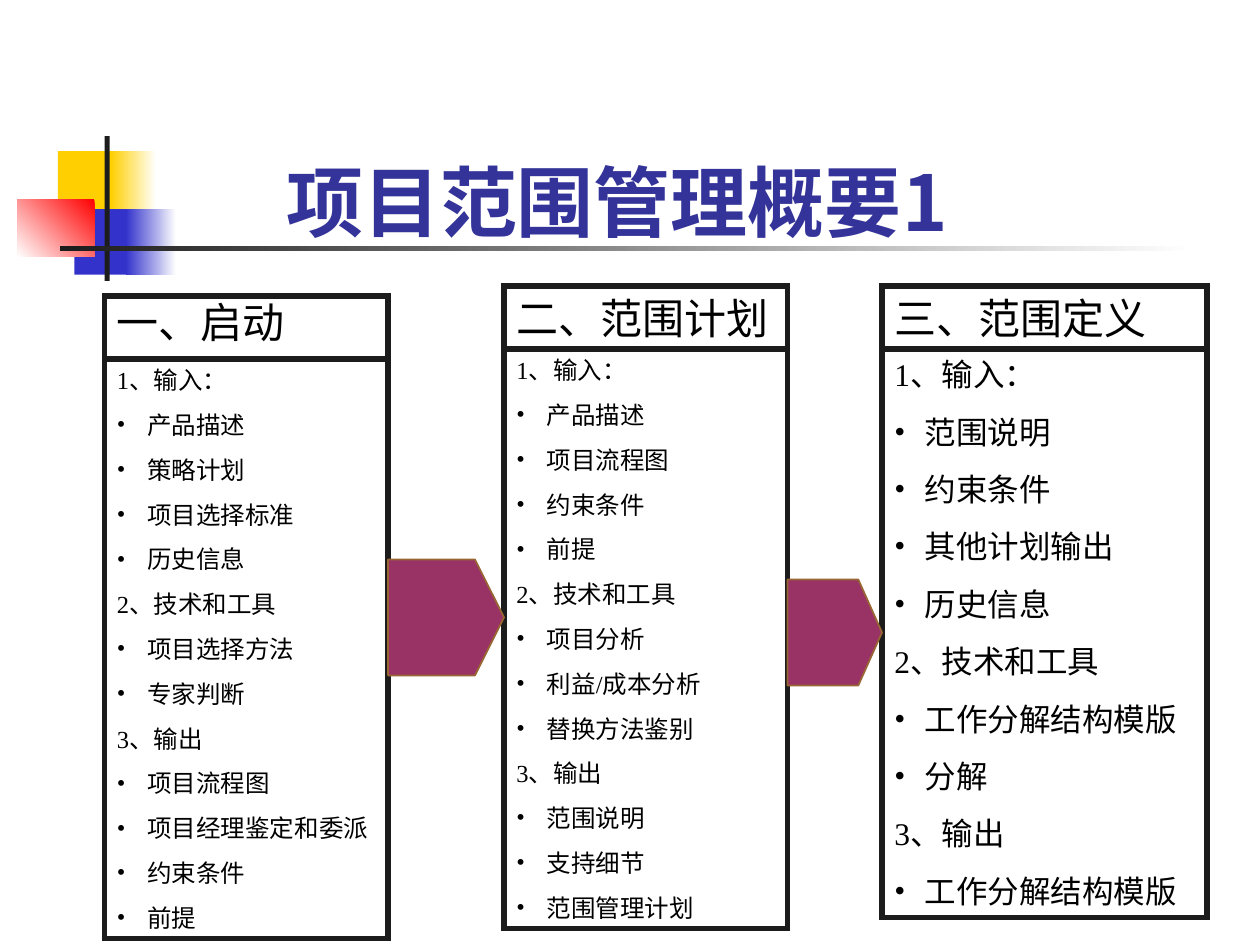
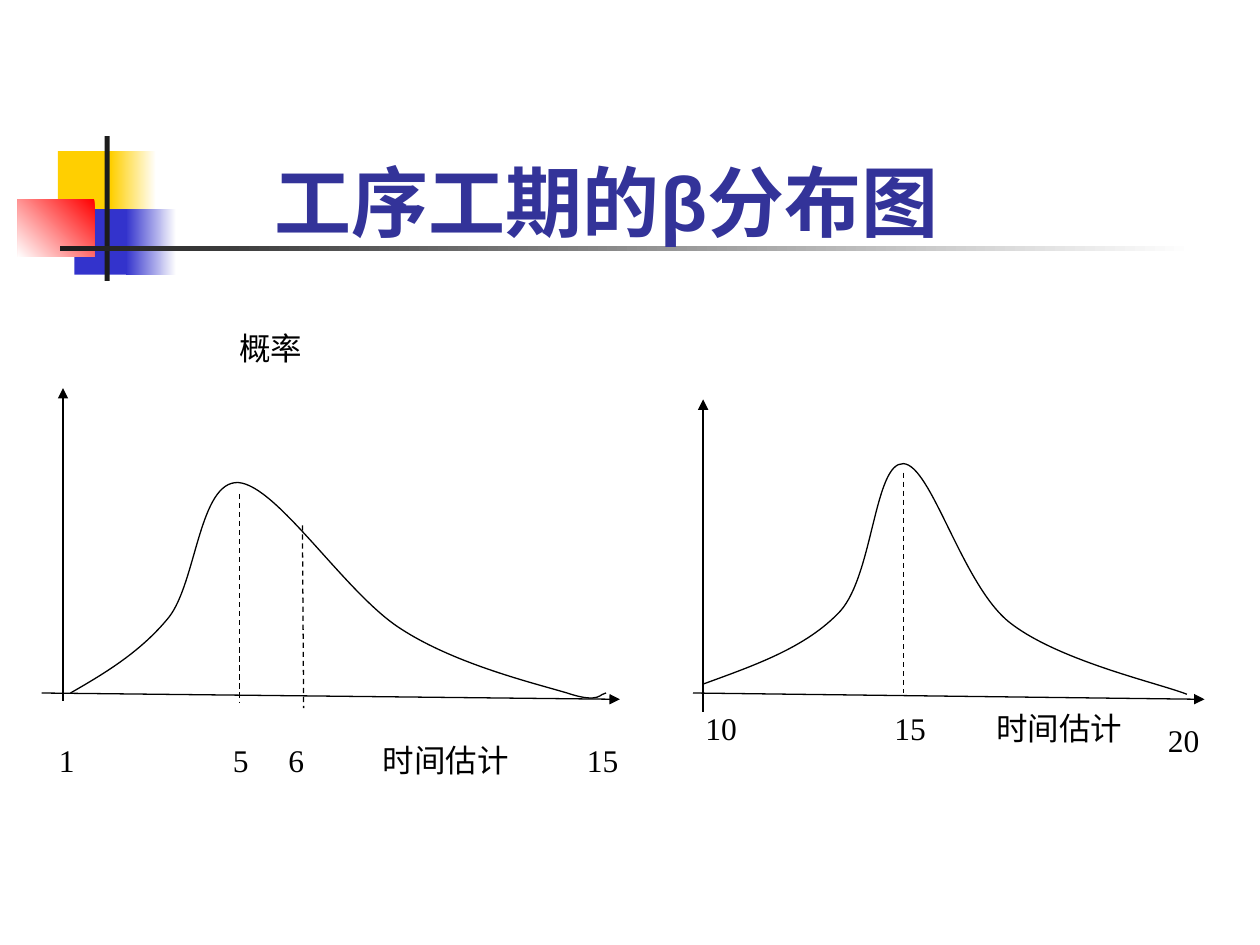
from lxml import etree
from pptx import Presentation
from pptx.dml.color import RGBColor
from pptx.enum.dml import MSO_LINE
from pptx.enum.shapes import MSO_CONNECTOR, MSO_SHAPE
from pptx.enum.text import MSO_ANCHOR, MSO_AUTO_SIZE, PP_ALIGN
from pptx.oxml.ns import qn
from pptx.util import Inches, Pt

RECT, PENTAGON = MSO_SHAPE.RECTANGLE, MSO_SHAPE.PENTAGON
STRAIGHT, DASH = MSO_CONNECTOR.STRAIGHT, MSO_LINE.DASH
LEFT, TOP, BOTTOM = PP_ALIGN.LEFT, MSO_ANCHOR.TOP, MSO_ANCHOR.BOTTOM
NO_AUTOFIT = MSO_AUTO_SIZE.NONE

COLORS = {"white": "FFFFFF", "black": "000000", "ink": "1C1C1C",
          "yellow": "FFCF01", "blue": "3333CC", "red": "FF0000",
          "title": "333399", "arrow": "993366", "arrow_edge": "996633"}
CJK, SERIF = "Noto Sans CJK SC", "Times New Roman"
TITLE_LAYOUT = 5

# left, top, width, height, fill: one colour, or start colour, end colour, angle
ORNAMENT = [
    (0.46, 1.2, 0.48, 0.52, ("yellow",)),
    (0.88, 1.2, 0.36, 0.52, ("white", "yellow", 180)),
    (0.59, 1.66, 0.46, 0.52, ("blue",)),
    (1, 1.66, 0.4, 0.52, ("white", "blue", 180)),
    (0.14, 1.58, 0.61, 0.46, ("red", "white", 225)),
    (0.83, 1.08, 0.04, 1.15, ("ink",)),
    (0.48, 1.95, 9, 0.04, ("white", "ink", 180)),
]

SCOPE_TITLE = [("项目范围管理概要1", CJK)]
HEADING_HEIGHT = 0.5
BULLET_INDENT = 0.24
PHASES = [
    dict(heading="一、启动", font="Roboto", spacing=0.9, size=14, gap=8.8,
         left=0.83, top=2.35, width=2.25, list_height=4.6,
         steps=[("1、输入：", ["产品描述", "策略计划", "项目选择标准", "历史信息"]),
                ("2、技术和工具", ["项目选择方法", "专家判断"]),
                ("3、输出", ["项目流程图", "项目经理鉴定和委派", "约束条件", "前提"])]),
    dict(heading="二、范围计划", font=SERIF, spacing=1.0, size=14, gap=8.8,
         left=4, top=2.27, width=2.25, list_height=4.6,
         steps=[("1、输入：", ["产品描述", "项目流程图", "约束条件", "前提"]),
                ("2、技术和工具", ["项目分析", "利益/成本分析", "替换方法鉴别"]),
                ("3、输出", ["范围说明", "支持细节", "范围管理计划"])]),
    dict(heading="三、范围定义", font=SERIF, spacing=1.0, size=18, gap=11.2,
         left=7, top=2.27, width=2.58, list_height=4.51,
         steps=[("1、输入：", ["范围说明", "约束条件", "其他计划输出", "历史信息"]),
                ("2、技术和工具", ["工作分解结构模版", "分解"]),
                ("3、输出", ["工作分解结构模版"])]),
]
ARROW_SPANS = [(4.44, 0.92), (4.6, 0.84)]  # top, height

BETA_TITLE = [("工序工期的", CJK), ("β", "Arial"), ("分布图", CJK)]
# Each curve is a start point followed by Bezier segments of three points.
# Labels are text, left, top, width and tab stops.
DISTRIBUTIONS = [
    dict(axes=[((0.5, 5.56), (0.5, 3.08)), ((0.33, 5.5), (4.92, 5.55))],
         markers=[((1.9, 3.92), (1.9, 5.58)), ((2.4, 4.17), (2.41, 5.62))],
         curve=[(0.56, 5.5),
                (0.84, 5.34), (1.12, 5.17), (1.34, 4.9),
                (1.56, 4.62), (1.58, 3.82), (1.89, 3.83),
                (2.2, 3.85), (2.74, 4.71), (3.18, 4.99),
                (3.61, 5.27), (4.23, 5.42), (4.5, 5.5),
                (4.77, 5.59), (4.76, 5.5), (4.81, 5.5)],
         labels=[("概率", 1.8, 2.56, 1.25, []),
                 ("1\t5\t6\t时间估计\t15", 0.37, 5.83, 5.27,
                  [1.38, 1.82, 2.57, 4.19])]),
    dict(axes=[((5.58, 5.65), (5.58, 3.17)), ((5.5, 5.5), (9.56, 5.55))],
         markers=[((7.17, 3.75), (7.17, 5.5))],
         curve=[(5.58, 5.43),
                (5.99, 5.28), (6.4, 5.14), (6.67, 4.85),
                (6.93, 4.56), (6.94, 3.67), (7.17, 3.68),
                (7.39, 3.69), (7.63, 4.62), (8, 4.93),
                (8.38, 5.24), (9.19, 5.42), (9.42, 5.51)],
         labels=[("10", 5.5, 5.58, 0.58, []), ("15", 7, 5.58, 0.58, []),
                 ("时间估计", 7.81, 5.58, 1.25, []), ("20", 9.17, 5.67, 0.67, [])]),
]


def rgb(name):
    return RGBColor.from_string(COLORS[name])


def style_run(run, size, font=SERIF, color="black", bold=False):
    run.font.size, run.font.bold, run.font.name = Pt(size), bold, font
    run.font.color.rgb = rgb(color)
    etree.SubElement(run.font._element, qn("a:ea"), typeface=CJK)


def add_box(slide, kind, left, top, width, height):
    box = slide.shapes.add_shape(kind, *map(Inches, (left, top, width, height)))
    box.shadow.inherit = False
    return box


def add_ornament(slide, layout):
    """Draw the corner ornament and move it to the layout, behind everything."""
    for position, (*place, fill) in enumerate(ORNAMENT, start=2):
        block = add_box(slide, RECT, *place)
        block.line.fill.background()
        if len(fill) == 1:
            block.fill.solid()
            block.fill.fore_color.rgb = rgb(fill[0])
        else:
            start, end, angle = fill
            block.fill.gradient()
            block.fill.gradient_angle = angle
            for stop, color in zip(block.fill.gradient_stops, (start, end)):
                stop.color.rgb = rgb(color)
        layout.shapes._spTree.insert(position, block._element)


def set_title(slide, pieces, left, width):
    title = slide.shapes.title
    title.left, title.top, title.width, title.height = map(
        Inches, (left, 1.08, width, 0.93))
    frame = title.text_frame
    frame.auto_size, frame.vertical_anchor = NO_AUTOFIT, BOTTOM
    frame.paragraphs[0].alignment = LEFT
    for text, font in pieces:
        run = frame.paragraphs[0].add_run()
        run.text = text
        style_run(run, 44, font, "title", bold=True)


def add_bullet(paragraph):
    properties = paragraph._p.get_or_add_pPr()
    properties.set("marL", str(Inches(BULLET_INDENT)))
    properties.set("indent", str(-Inches(BULLET_INDENT)))
    etree.SubElement(properties, qn("a:buFont"), typeface=SERIF)
    etree.SubElement(properties, qn("a:buChar"), char="•")


def add_framed_text(slide, place, lines, size, font=SERIF, gap=0, spacing=1.0):
    """Add an outlined box; lines are (text, is_bullet) pairs."""
    box = add_box(slide, RECT, *place)
    box.fill.background()
    box.line.color.rgb, box.line.width = rgb("ink"), Pt(3)
    etree.SubElement(box.line._get_or_add_ln(), qn("a:miter"), lim="800000")
    frame = box.text_frame
    frame.word_wrap, frame.vertical_anchor = True, TOP
    frame.text = "\n".join(text for text, _ in lines)
    for index, (paragraph, (_, is_bullet)) in enumerate(zip(frame.paragraphs, lines)):
        paragraph.alignment, paragraph.line_spacing = LEFT, spacing
        paragraph.space_before = Pt(gap if index else 0)
        if is_bullet:
            add_bullet(paragraph)
        style_run(paragraph.runs[0], size, font)


def add_phase(slide, phase):
    left, top, width = phase["left"], phase["top"], phase["width"]
    lines = []
    for step, items in phase["steps"]:
        lines += [(step, False)] + [(item, True) for item in items]
    add_framed_text(slide, (left, top + HEADING_HEIGHT, width, phase["list_height"]),
                    lines, phase["size"], gap=phase["gap"])
    add_framed_text(slide, (left, top, width, HEADING_HEIGHT),
                    [(phase["heading"], False)], 24, phase["font"],
                    spacing=phase["spacing"])


def add_phase_arrow(slide, before, after, top, height):
    left = before["left"] + before["width"]
    arrow = add_box(slide, PENTAGON, left, top, after["left"] - left, height)
    arrow.adjustments[0] = 0.25
    arrow.fill.solid()
    arrow.fill.fore_color.rgb = rgb("arrow")
    arrow.line.color.rgb, arrow.line.width = rgb("arrow_edge"), Pt(1)


def add_line(slide, start, end, dashed=False):
    """Add a dashed marker, or an axis with an arrowhead at its end."""
    line = slide.shapes.add_connector(STRAIGHT, *map(Inches, (*start, *end)))
    line.line.color.rgb, line.line.width = rgb("black"), Pt(0.75)
    if dashed:
        line.line.dash_style = DASH
    else:
        etree.SubElement(line.line._get_or_add_ln(), qn("a:tailEnd"), type="triangle")
    etree.SubElement(line._element.spPr, qn("a:effectLst"))


def add_curve(slide, nodes):
    """Build an outline through all nodes, then join each three into a Bezier."""
    start, *rest = [tuple(map(Inches, node)) for node in nodes]
    builder = slide.shapes.build_freeform(*start)
    builder.add_line_segments(rest, close=False)
    curve = builder.convert_to_shape()
    outline = next(curve._element.iter(qn("a:path")))
    segments = outline.findall(qn("a:lnTo"))
    for first in range(0, len(segments), 3):
        bezier = etree.SubElement(outline, qn("a:cubicBezTo"))
        for segment in segments[first:first + 3]:
            bezier.append(segment[0])
            outline.remove(segment)
    curve.shadow.inherit = False
    curve.fill.background()
    curve.line.color.rgb, curve.line.width = rgb("black"), Pt(0.75)


def add_label(slide, text, left, top, width, tab_stops):
    label = slide.shapes.add_textbox(*map(Inches, (left, top, width, 0.4)))
    label.text_frame.word_wrap = True
    label.text_frame.text = text
    paragraph = label.text_frame.paragraphs[0]
    if tab_stops:
        tabs = etree.SubElement(paragraph._p.get_or_add_pPr(), qn("a:tabLst"))
        for stop in tab_stops:
            etree.SubElement(tabs, qn("a:tab"), pos=str(Inches(stop)), algn="l")
    for run in paragraph.runs:
        style_run(run, 18)


def add_distribution(slide, distribution):
    for axis in distribution["axes"]:
        add_line(slide, *axis)
    for marker in distribution["markers"]:
        add_line(slide, *marker, dashed=True)
    add_curve(slide, distribution["curve"])
    for label in distribution["labels"]:
        add_label(slide, *label)


def main():
    prs = Presentation()
    prs.slide_width, prs.slide_height = Inches(10), Inches(7.5)
    layout = prs.slide_layouts[TITLE_LAYOUT]

    scope = prs.slides.add_slide(layout)
    add_ornament(scope, layout)
    set_title(scope, SCOPE_TITLE, 2.17, 5.57)
    for phase in PHASES:
        add_phase(scope, phase)
    for before, after, span in zip(PHASES, PHASES[1:], ARROW_SPANS):
        add_phase_arrow(scope, before, after, *span)

    beta = prs.slides.add_slide(layout)
    set_title(beta, BETA_TITLE, 2.08, 5.82)
    for distribution in DISTRIBUTIONS:
        add_distribution(beta, distribution)

    prs.save("out.pptx")


if __name__ == "__main__":
    main()
